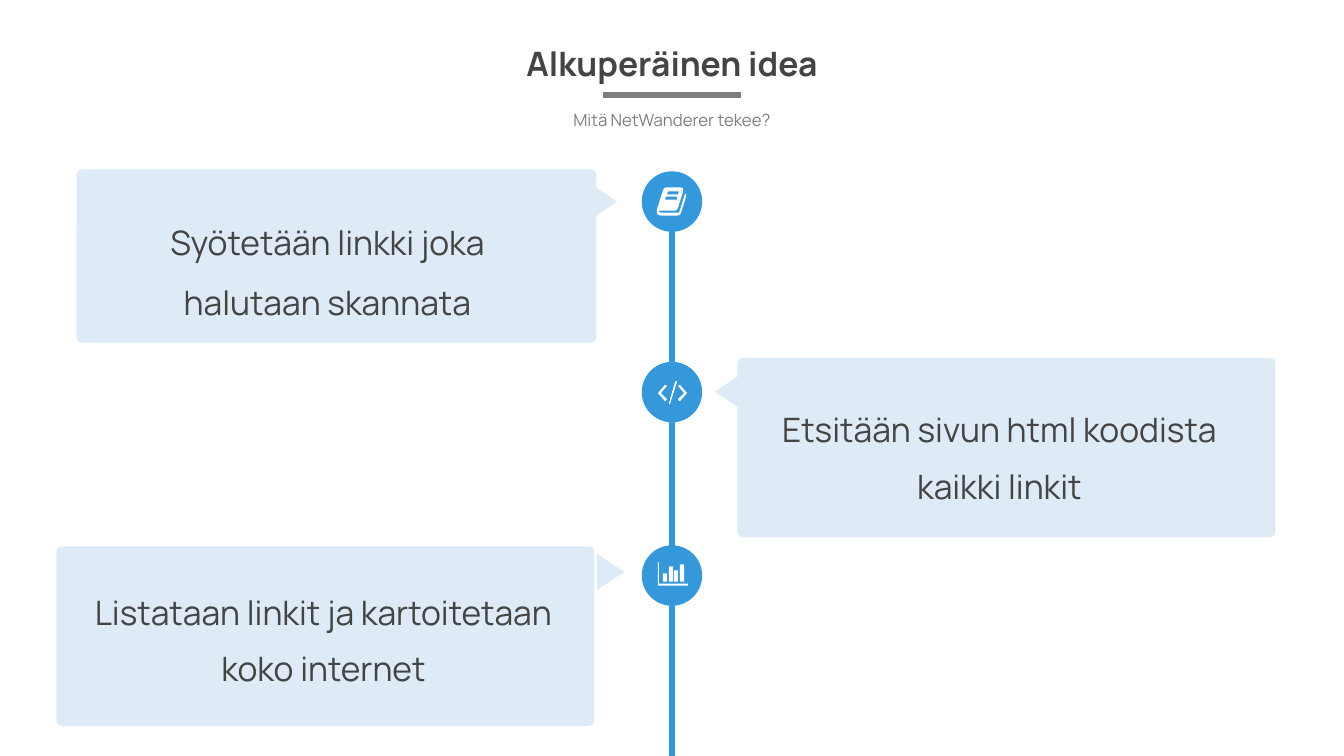
"""Timeline slide: three steps along a vertical spine, on a grid of 1334 columns by 750 rows."""
from lxml.etree import SubElement
from pptx import Presentation
from pptx.dml.color import RGBColor
from pptx.enum.shapes import MSO_CONNECTOR, MSO_SHAPE
from pptx.enum.text import MSO_ANCHOR, PP_ALIGN
from pptx.oxml.ns import qn
from pptx.util import Inches, Pt

BLUE = RGBColor(0x34, 0x98, 0xDB)
PALE = RGBColor(0xDE, 0xEB, 0xF7)
DARK = RGBColor(0x44, 0x44, 0x44)
GREY = RGBColor(0x7F, 0x7F, 0x7F)
WHITE = RGBColor(0xFF, 0xFF, 0xFF)
COLS, ROWS = 1334, 750
MID = COLS // 2
RADIUS = 30

prs = Presentation()
prs.slide_width, prs.slide_height = Inches(13.34), Inches(7.5)
U = prs.slide_width // COLS
s = prs.slides.add_slide(prs.slide_layouts[5])


def put_text(sp, text, size=24, color=DARK, bold=False, spacing=0.9, inset=0):
    tf = sp.text_frame
    tf.word_wrap = True
    tf.vertical_anchor = MSO_ANCHOR.TOP
    tf.margin_left = tf.margin_right = inset * U
    tf.margin_top = tf.margin_bottom = 0
    p = tf.paragraphs[0]
    p.alignment = PP_ALIGN.CENTER
    p.line_spacing = spacing
    r = p.add_run()
    r.text = text
    r.font.name, r.font.size, r.font.bold = "Manrope", Pt(size), bold
    r.font.color.rgb = color


def paint(sp, color):
    sp.shadow.inherit = False
    sp.fill.solid()
    sp.fill.fore_color.rgb = color
    sp.line.fill.background()


title = s.shapes.title
title.left, title.top, title.width, title.height = 67 * U, 47 * U, 1200 * U, 43 * U
put_text(title, "Alkuperäinen idea", bold=True, inset=30)
subtitle = s.shapes.add_textbox(67 * U, 111 * U, 1200 * U, 33 * U)
put_text(subtitle, "Mitä NetWanderer tekee?", size=12, color=GREY, inset=10)

lines = [
    (MID - 68, 94, MID + 68, 94, GREY, 4.5),
    (MID, 200, MID, ROWS, BLUE, 4.25),
]
for x1, y1, x2, y2, color, width in lines:
    ln = s.shapes.add_connector(MSO_CONNECTOR.STRAIGHT, x1 * U, y1 * U, x2 * U, y2 * U)
    ln.line.color.rgb = color
    ln.line.width = Pt(width)
    SubElement(ln._element.spPr, qn("a:effectLst"))

book = [
    [(14, -5), (9, 11), (8, 13), (5, 14), (-11, 14), (-14, 13), (-15, 11), (-15, 8),
     (-9, -11), (-8, -13), (-6, -14), (9, -14), (11, -13), (11, -10), (6, 6), (5, 8),
     (3, 9), (-13, 9), (-13, 10), (-11, 11), (5, 11), (7, 11), (13, -8), (14, -7)],
    [(-7, -2), (5, -2), (5, -5), (-6, -5)],
    [(-5, -7), (6, -7), (7, -10), (-4, -10)],
]
bracket = [(-6, 9), (-7, 9), (-14, 1), (-7, -7), (-6, -7), (-5, -6), (-11, 1), (-5, 7)]
code = [
    bracket,
    [(-2, 12), (-3, 12), (-3, 11), (3, -10), (4, -11), (5, -10)],
    [(1 - x, y) for x, y in bracket],
]
chart = [[(16, 10), (-14, 10), (-14, -13), (-13, -13), (-13, 8), (16, 8)]]
for x, top in [(-9, -2), (-3, -9), (2, -5), (8, -11)]:
    chart.append([(x, 6), (x, top), (x + 4, top), (x + 4, 6)])

steps = [
    (200, book, (76, 168, 516, 172), (582, 187, 35, 26), 90,
     (150, 200, 350, 120), 1.5, "Syötetään linkki joka halutaan skannata"),
    (389, code, (732, 355, 534, 178), (705, 375, 36, 27), 270,
     (753, 390, 478, 172), 1.4, "Etsitään sivun html koodista kaikki linkit"),
    (571, chart, (56, 542, 534, 178), (588, 554, 36, 27), 90,
     (82, 571, 478, 172), 1.4, "Listataan linkit ja kartoitetaan koko internet"),
]
for y, icon, card, pointer, turn, box, spacing, text in steps:
    dot = s.shapes.add_shape(MSO_SHAPE.OVAL, (MID - RADIUS) * U, (y - RADIUS) * U,
                             2 * RADIUS * U, 2 * RADIUS * U)
    paint(dot, BLUE)

    fb = s.shapes.build_freeform(*icon[0][0], scale=U)
    for i, outline in enumerate(icon):
        if i:
            fb.move_to(*outline[0])
        fb.add_line_segments(outline[1:], close=True)
    paint(fb.convert_to_shape(MID * U, y * U), WHITE)

    sp = s.shapes.add_shape(MSO_SHAPE.ROUNDED_RECTANGLE, *[v * U for v in card])
    sp.adjustments[0] = 0.032
    paint(sp, PALE)
    sp = s.shapes.add_shape(MSO_SHAPE.ISOSCELES_TRIANGLE, *[v * U for v in pointer])
    sp.rotation = turn
    paint(sp, PALE)
    put_text(s.shapes.add_textbox(*[v * U for v in box]), text, spacing=spacing)

prs.save("out.pptx")
